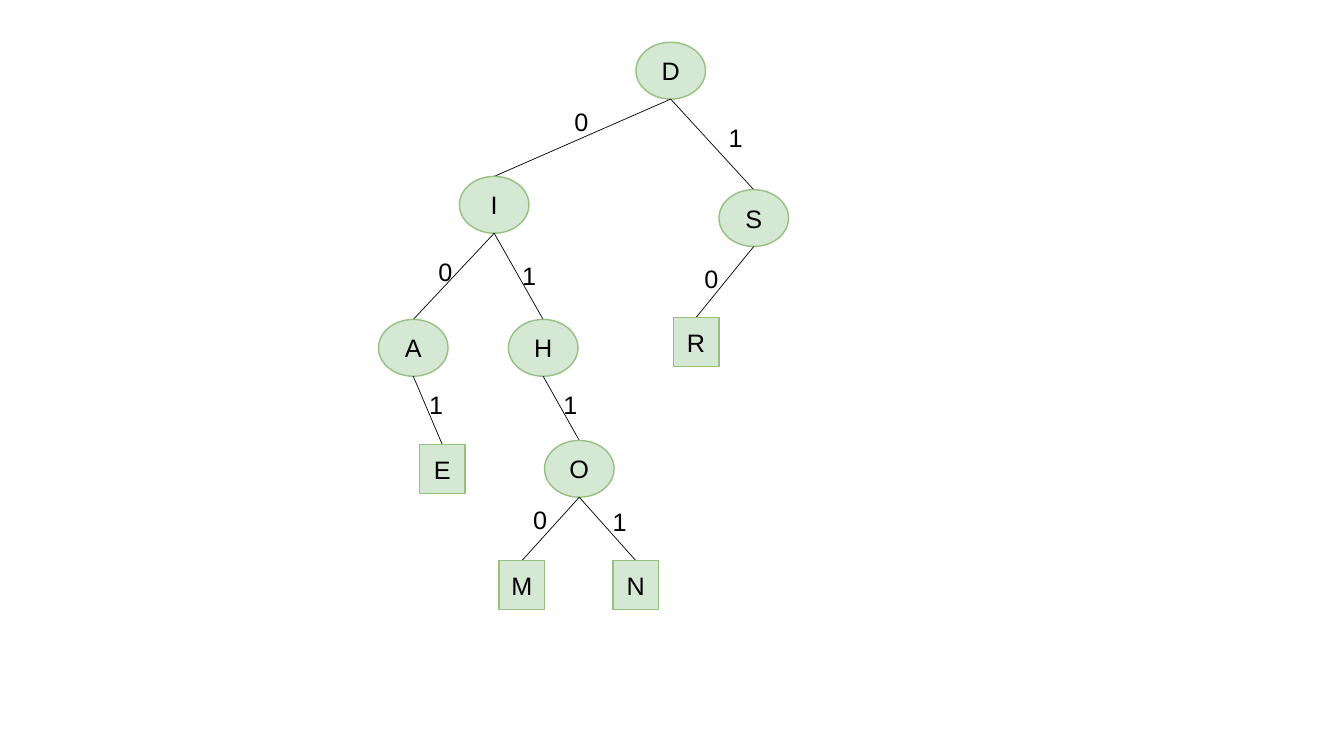
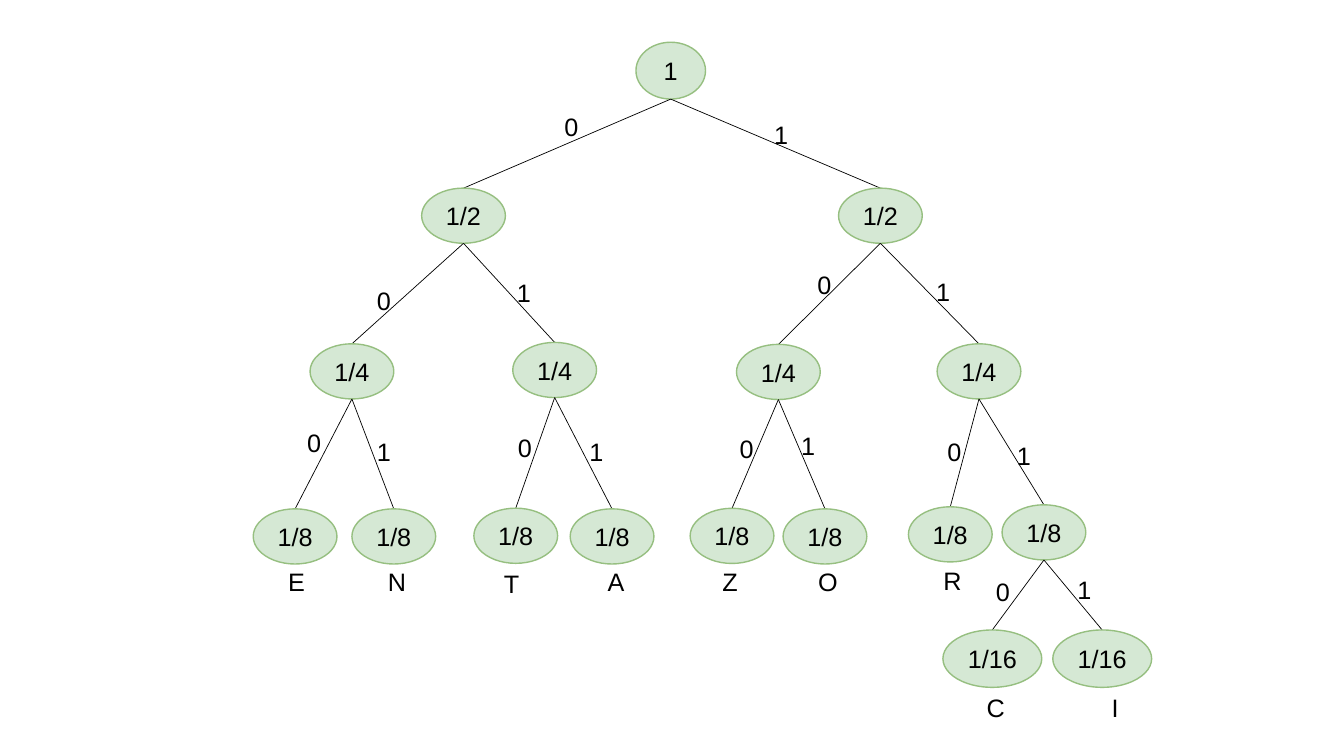
from dataclasses import dataclass

from lxml.etree import SubElement
from pptx import Presentation
from pptx.dml.color import RGBColor
from pptx.enum.shapes import MSO_CONNECTOR as CXN, MSO_SHAPE as SHAPE
from pptx.enum.text import MSO_ANCHOR as ANCHOR, MSO_AUTO_SIZE as AUTO, PP_ALIGN as ALIGN
from pptx.oxml.ns import qn
from pptx.slide import Slide
from pptx.text.text import TextFrame
from pptx.util import Pt


# Theme shared by both trees
@dataclass(frozen=True)
class Theme:
    font: str = "Arial"
    size: float = 18
    ink: RGBColor = RGBColor(0x00, 0x00, 0x00)
    node_fill: RGBColor = RGBColor(0xD5, 0xE8, 0xD4)
    node_line: RGBColor = RGBColor(0x96, 0xBF, 0x80)
    node_width: float = 1
    edge_width: float = 0.5
    label_h: float = 29
    narrow: float = 24.5
    wide: float = 36


THEME = Theme()


@dataclass(frozen=True)
class Kind:
    shape: SHAPE
    w: float
    h: float


CIRCLE = Kind(SHAPE.OVAL, 49.7, 40.6)
BOX = Kind(SHAPE.RECTANGLE, 32.6, 35)
OVAL = Kind(SHAPE.OVAL, 59.8, 39.4)
WIDE_OVAL = Kind(SHAPE.OVAL, 70.6, 41)


# A node is placed by its centre x and its top; labels by their top left corner
@dataclass(frozen=True)
class Node:
    text: str
    x: float
    top: float
    kind: Kind
    bit_at: tuple[float, float] | None = None
    children: tuple["Node", ...] = ()
    caption: str = ""
    caption_at: tuple[float, float] = (0, 0)

    @property
    def bottom(self) -> float:
        return self.top + self.kind.h


def set_text(tf: TextFrame, text: str, align: ALIGN) -> None:
    tf.text = text
    p = tf.paragraphs[0]
    p.alignment = align
    font = p.runs[0].font
    font.name, font.size = THEME.font, Pt(THEME.size)
    font.color.rgb = THEME.ink


def add_label(s: Slide, text: str, at: tuple[float, float], width: float) -> None:
    x, y = at
    sp = s.shapes.add_textbox(Pt(x), Pt(y), Pt(width), Pt(THEME.label_h))
    tf = sp.text_frame
    tf.word_wrap = True
    tf.auto_size = AUTO.SHAPE_TO_FIT_TEXT
    set_text(tf, text, ALIGN.LEFT)


def add_edge(s: Slide, parent: Node, child: Node) -> None:
    line = s.shapes.add_connector(CXN.STRAIGHT, Pt(parent.x), Pt(parent.bottom),
                                  Pt(child.x), Pt(child.top))
    line.line.color.rgb = THEME.ink
    line.line.width = Pt(THEME.edge_width)
    SubElement(line._element.spPr, qn("a:effectLst"))


def add_node(s: Slide, node: Node) -> None:
    kind = node.kind
    sp = s.shapes.add_shape(kind.shape, Pt(node.x - kind.w / 2), Pt(node.top),
                            Pt(kind.w), Pt(kind.h))
    sp.shadow.inherit = False
    sp.fill.solid()
    sp.fill.fore_color.rgb = THEME.node_fill
    sp.line.color.rgb = THEME.node_line
    sp.line.width = Pt(THEME.node_width)
    tf = sp.text_frame
    tf.margin_left = tf.margin_right = 0
    tf.vertical_anchor = ANCHOR.MIDDLE
    set_text(tf, node.text, ALIGN.CENTER)


def draw_tree(s: Slide, node: Node, zero_width: float) -> None:
    add_node(s, node)
    if node.caption:
        add_label(s, node.caption, node.caption_at, THEME.wide)
    for child in node.children:
        add_edge(s, node, child)
        # Left branches carry 0, right branches carry 1
        if child.x < node.x:
            add_label(s, "0", child.bit_at, zero_width)
        else:
            add_label(s, "1", child.bit_at, THEME.narrow)
        draw_tree(s, child, zero_width)


# Digital search tree
SEARCH_TREE = Node("D", 479.1, 30.2, CIRCLE, children=(
    Node("I", 353, 126, CIRCLE, (403.2, 72.7), (
        Node("A", 295.2, 228.2, CIRCLE, (306, 179.3), (
            Node("E", 315.9, 317.5, BOX, (299.5, 274.3)),
        )),
        Node("H", 388, 228.2, CIRCLE, (365.8, 182.2), (
            Node("O", 413.8, 314.6, CIRCLE, (395.3, 274.3), (
                Node("M", 372.8, 400.5, BOX, (373.7, 356.4)),
                Node("N", 454.2, 400.5, BOX, (430.6, 357.8)),
            )),
        )),
    )),
    Node("S", 538.4, 135.5, CIRCLE, (513.4, 83.5), (
        Node("R", 497.2, 226.8, BOX, (496.1, 184.3)),
    )),
))

# Probability tree with its code letters
CODE_TREE = Node("1", 479.1, 30.2, CIRCLE, children=(
    Node("1/2", 331.1, 134.4, OVAL, (396, 76.3), (
        Node("1/4", 251.4, 245.6, OVAL, (262.1, 200.2), (
            Node("1/8", 210.8, 363.5, OVAL, (212.4, 301.7), caption="E", caption_at=(198.7, 401)),
            Node("1/8", 281.3, 363.5, OVAL, (262.1, 308.2), caption="N", caption_at=(270, 401)),
        )),
        Node("1/4", 396.2, 244.6, OVAL, (362.2, 194.4), (
            Node("1/8", 368.4, 363, OVAL, (362.9, 305.3), caption="T", caption_at=(352.8, 402.5)),
            Node("1/8", 437.2, 363.5, OVAL, (414, 308.2), caption="A", caption_at=(427, 401)),
        )),
    )),
    Node("1/2", 628.9, 134.4, OVAL, (545.8, 81.4), (
        Node("1/4", 556, 246, OVAL, (576.7, 188.6), (
            Node("1/8", 522.9, 363.1, OVAL, (521.3, 306), caption="Z", caption_at=(509, 401)),
            Node("1/8", 589.3, 363.5, OVAL, (565.2, 303.8), caption="O", caption_at=(577.4, 401)),
        )),
        Node("1/4", 699.3, 245.6, OVAL, (661.7, 193.7), (
            Node("1/8", 678.8, 362, OVAL, (669.6, 308.2), caption="R", caption_at=(666.7, 400.3)),
            Node("1/8", 745.7, 360.6, OVAL, (719.3, 311), (
                Node("1/16", 708.8, 450, WIDE_OVAL, (704.2, 408.2),
                     caption="C", caption_at=(697.7, 491)),
                Node("1/16", 787.3, 450, WIDE_OVAL, (762.5, 406.8),
                     caption="I", caption_at=(787, 491)),
            )),
        )),
    )),
))

# Build the slides
prs = Presentation()
prs.slide_width, prs.slide_height = Pt(960), Pt(540)
for root, zero_width in ((SEARCH_TREE, THEME.narrow), (CODE_TREE, THEME.wide)):
    draw_tree(prs.slides.add_slide(prs.slide_layouts[6]), root, zero_width)
prs.save("out.pptx")
